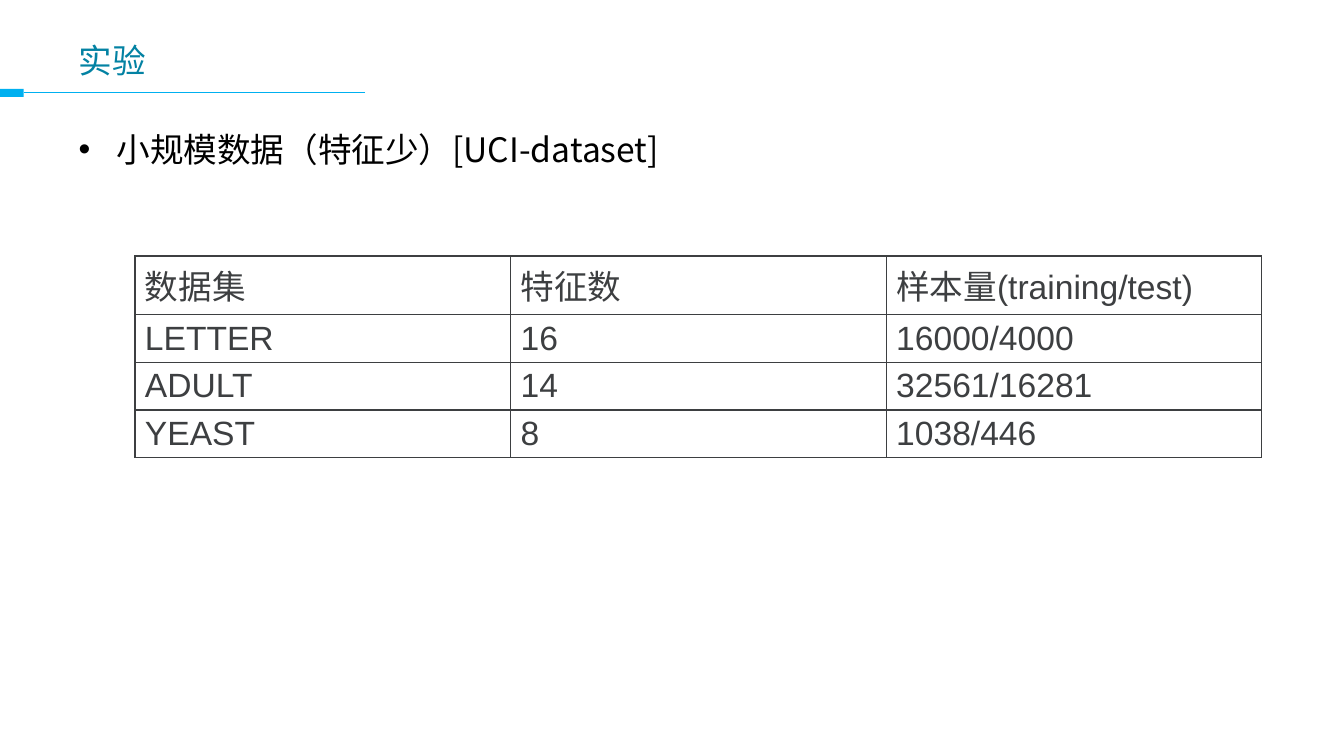
import pptx
import pptx.util
import pptx.dml.color
import pptx.enum.shapes
import pptx.enum.text
import pptx.oxml
import pptx.oxml.ns
from lxml import etree
from pptx.util import Cm

ACCENT = "00B0F0"
TITLE_COLOR = "0382A3"
TABLE_COLOR = "3D3F41"
LATIN_FONT = "Arial"
ASIAN_FONT = "Noto Sans CJK SC"
DATASETS = [
    ("数据集", "特征数", "样本量(training/test)"),
    ("LETTER", "16", "16000/4000"),
    ("ADULT", "14", "32561/16281"),
    ("YEAST", "8", "1038/446"),
]


def color(value):
    return pptx.dml.color.RGBColor.from_string(value)


def add_child(parent, tag, **attributes):
    return etree.SubElement(parent, pptx.oxml.ns.qn(tag), **attributes)


def add_span(para, text, text_color, font=LATIN_FONT):
    span = para.add_run()
    span.text = text
    span.font.size = pptx.util.Pt(24)
    span.font.bold = False
    span.font.name = font
    span.font.color.rgb = color(text_color)
    add_child(span.font._element, "a:ea", typeface=ASIAN_FONT)


def place(shape, left, top, width, height):
    shape.left, shape.top = left, top
    shape.width, shape.height = width, height


def prepare_frame(shape, anchor):
    frame = shape.text_frame
    frame.word_wrap = True
    frame.auto_size = pptx.enum.text.MSO_AUTO_SIZE.NONE
    frame.vertical_anchor = anchor
    para = frame.paragraphs[0]
    para.alignment = pptx.enum.text.PP_ALIGN.LEFT
    return para


def add_title_rule(page, left, top, width, height):
    tab_width = Cm(0.6)
    middle = top + height // 2
    tab = page.shapes.add_shape(
        pptx.enum.shapes.MSO_SHAPE.RECTANGLE, left, top, tab_width, height)
    tab.shadow.inherit = False
    tab.fill.solid()
    tab.fill.fore_color.rgb = color(ACCENT)
    tab.line.fill.background()
    rule = page.shapes.add_connector(
        pptx.enum.shapes.MSO_CONNECTOR.STRAIGHT,
        left + width, middle, left + tab_width, middle)
    rule.end_connect(tab, 3)
    rule.line.color.rgb = color(ACCENT)
    rule.line.width = pptx.util.Pt(0.75)
    add_child(rule._element.spPr, "a:effectLst")


def fill_title(page, left, top, width, height):
    title = page.shapes.title
    place(title, left, top, width, height)
    para = prepare_frame(title, pptx.enum.text.MSO_ANCHOR.MIDDLE)
    add_span(para, "实验", TITLE_COLOR)


def fill_body(page, left, top, width, height):
    body = page.placeholders[1]
    place(body, left, top, width, height)
    para = prepare_frame(body, pptx.enum.text.MSO_ANCHOR.TOP)
    para.space_before = para.space_after = pptx.util.Pt(3)
    properties = para._p.get_or_add_pPr()
    indent = Cm(0.95)
    properties.set("marL", str(indent))
    properties.set("indent", str(-indent))
    add_child(properties, "a:buFont", typeface=LATIN_FONT)
    add_child(properties, "a:buChar", char="•")
    add_span(para, "小规模数据（特征少）", "000000")
    add_span(para, "[UCI-dataset]", "000000", ASIAN_FONT)


def format_cell(cell, text):
    add_span(cell.text_frame.paragraphs[0], text, TABLE_COLOR)
    properties = cell._tc.get_or_add_tcPr()
    for side in ("a:lnL", "a:lnR", "a:lnT", "a:lnB"):
        border = add_child(properties, side, w=str(pptx.util.Pt(1)))
        fill = add_child(border, "a:solidFill")
        add_child(fill, "a:srgbClr", val=TABLE_COLOR)
    cell.fill.background()


def add_dataset_table(page, left, top, width, height):
    row_count, column_count = len(DATASETS), len(DATASETS[0])
    table = page.shapes.add_table(
        row_count, column_count, left, top, width, height).table
    table.first_row = False
    table.horz_banding = False
    for row_index, values in enumerate(DATASETS):
        for column_index, text in enumerate(values):
            format_cell(table.cell(row_index, column_index), text)


def main():
    deck = pptx.Presentation()
    deck.slide_width, deck.slide_height = Cm(33.87), Cm(19.05)
    page = deck.slides.add_slide(deck.slide_layouts[1])
    for placeholder in list(page.placeholders):
        if placeholder.placeholder_format.idx > 1:
            placeholder._element.getparent().remove(placeholder._element)
    add_title_rule(page, Cm(0), Cm(2.24), Cm(9.2), Cm(0.2))
    fill_title(page, Cm(1.73), Cm(0.71), Cm(30.48), Cm(1.6))
    fill_body(page, Cm(1.73), Cm(3.12), Cm(30.48), Cm(13.59))
    add_dataset_table(page, Cm(3.4), Cm(6.45), Cm(28.4), Cm(4.28))
    deck.save("out.pptx")


if __name__ == "__main__":
    main()
